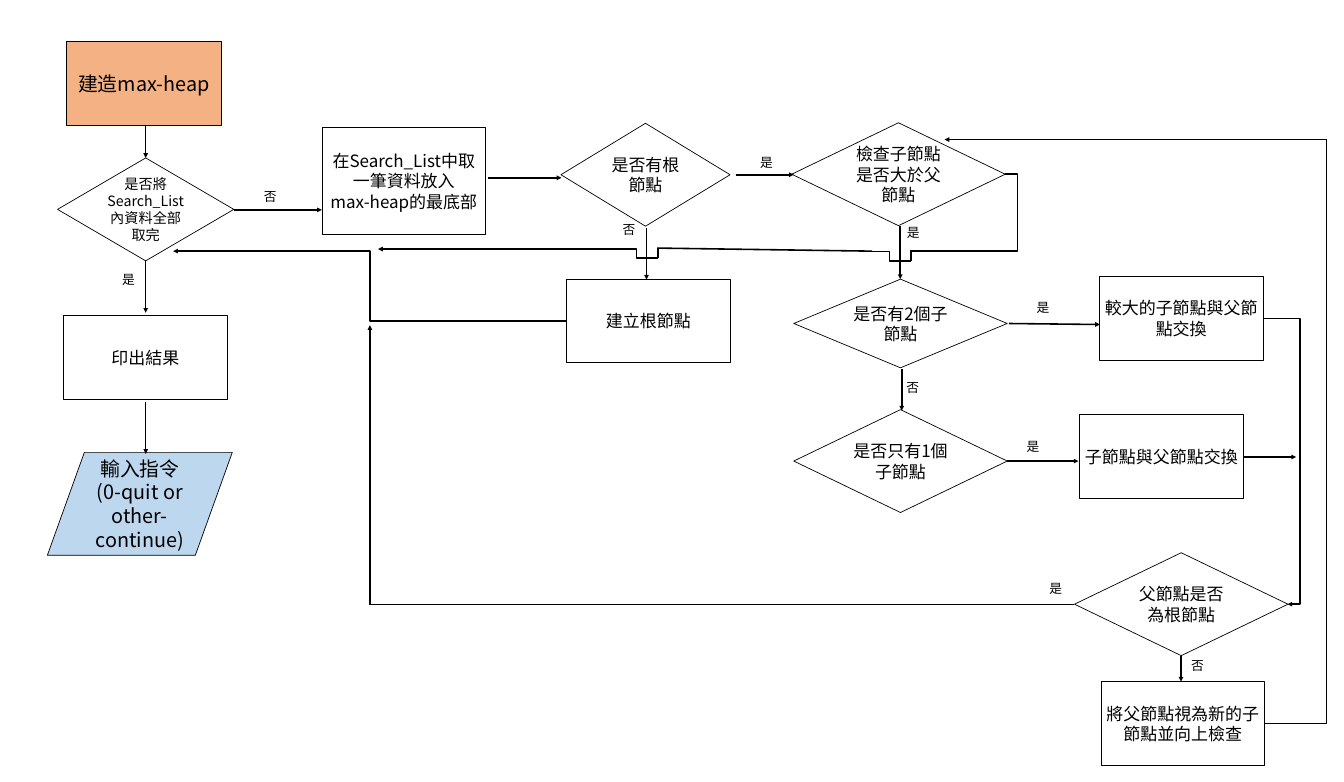
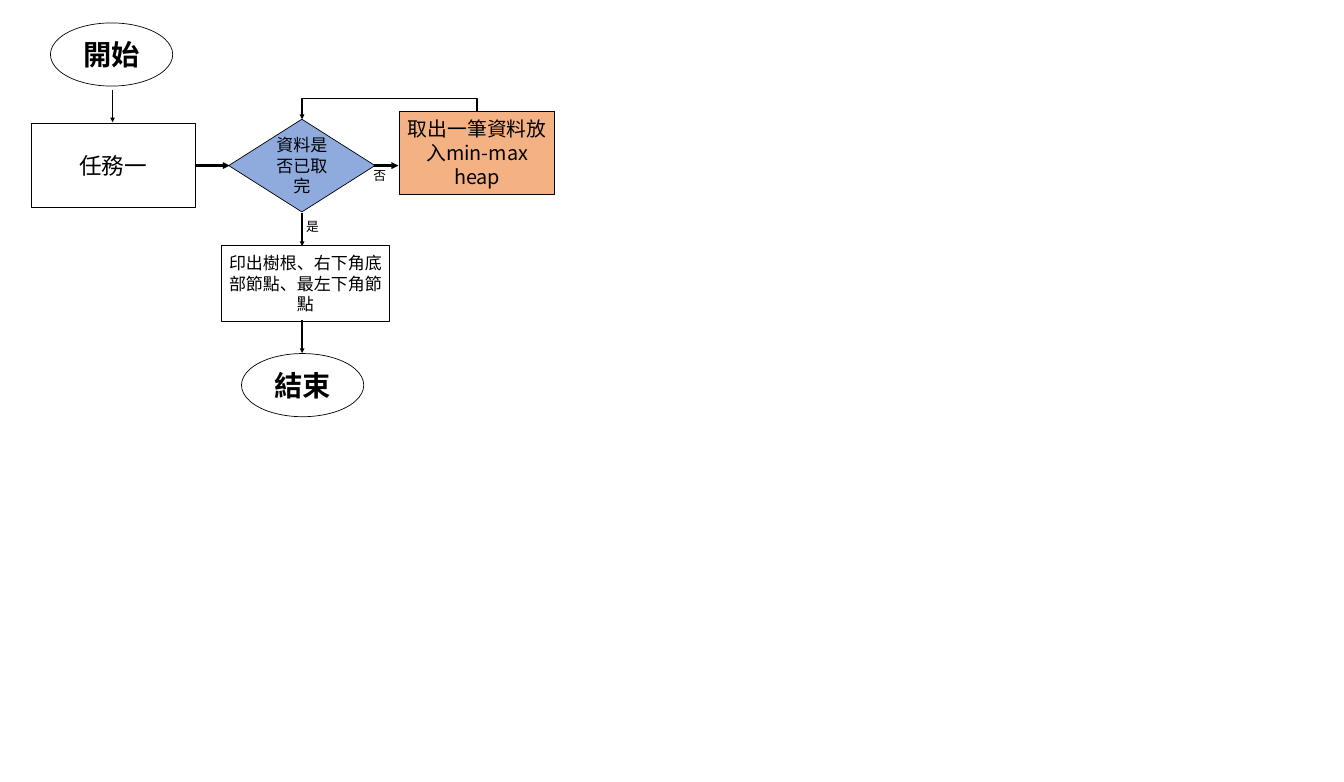
from lxml.etree import SubElement
from pptx import Presentation
from pptx.dml.color import RGBColor
from pptx.enum.shapes import MSO_CONNECTOR, MSO_SHAPE
from pptx.enum.text import MSO_ANCHOR, PP_ALIGN
from pptx.oxml.ns import qn
from pptx.util import Inches, Pt

BLACK = RGBColor(0x00, 0x00, 0x00)
WHITE = RGBColor(0xFF, 0xFF, 0xFF)
ORANGE = RGBColor(0xF4, 0xB1, 0x83)
PALE = RGBColor(0xBD, 0xD7, 0xEE)
BLUE = RGBColor(0x8F, 0xAA, 0xDC)
CJK = "Noto Sans CJK SC"
YES, NO = "是", "否"

RECT = MSO_SHAPE.RECTANGLE
TEST = MSO_SHAPE.FLOWCHART_DECISION
DATA = MSO_SHAPE.FLOWCHART_DATA
OVAL = MSO_SHAPE.OVAL
STEP = (3.21, 1.64)
TASK = (3.05, 1.64)
ASK = (4.19, 2.02)
END = (2.4, 1.24)
TAG = (1.12, 0.4)

BODY = {"name": CJK, "size": Pt(24)}
SMALL = {**BODY, "size": Pt(20)}
LARGE = {**BODY, "size": Pt(28)}
HUGE = {**BODY, "size": Pt(32)}
BOLD = {**BODY, "size": Pt(40), "bold": True}
MARK = {"name": "Calibri", "size": Pt(18)}


def write(frame, text, form, align):
    """Fill a text frame, one paragraph per line of text."""
    frame.word_wrap = True
    frame.text = text
    for para in frame.paragraphs:
        para.alignment = align
        for run in para.runs:
            for key, value in form.items():
                setattr(run.font, key, value)
            run.font.color.rgb = BLACK
            face = SubElement(run.font._element, qn("a:ea"))
            face.set("typeface", CJK)


def node(slide, kind, spot, size, text, form=BODY, fill=WHITE):
    """Add one outlined flowchart node with centred text."""
    shape = slide.shapes.add_shape(kind, *map(Inches, spot + size))
    shape.shadow.inherit = False
    shape.fill.solid()
    shape.fill.fore_color.rgb = fill
    shape.line.color.rgb = BLACK
    shape.line.width = Pt(1)
    shape.text_frame.vertical_anchor = MSO_ANCHOR.MIDDLE
    write(shape.text_frame, text, form, PP_ALIGN.CENTER)


def label(slide, spot, text):
    """Add the answer beside a branch."""
    box = slide.shapes.add_textbox(*map(Inches, spot + TAG))
    write(box.text_frame, text, MARK, PP_ALIGN.LEFT)


def link(slide, start, end, kind=MSO_CONNECTOR.STRAIGHT, arrow=True, width=2.25):
    """Add a black connector, with an arrowhead if wanted."""
    line = slide.shapes.add_connector(kind, *map(Inches, start + end))
    line.line.color.rgb = BLACK
    line.line.width = Pt(width)
    if arrow:
        SubElement(line.line._get_or_add_ln(), qn("a:tailEnd")).set("type", "triangle")
    SubElement(line._element.spPr, qn("a:effectLst"))
    return line


def bend(slide, start, end, turn, upright=False, arrow=True):
    """Add an elbow whose middle leg lies at x = turn, or y = turn if upright."""
    axis = 1 if upright else 0
    ratio = (turn - start[axis]) / (end[axis] - start[axis])
    if upright:
        mid = [(a + b) / 2 for a, b in zip(start, end)]
        start, end = [(mid[0] - y + mid[1], mid[1] + x - mid[0])
                      for x, y in (start, end)]
    line = link(slide, start, end, MSO_CONNECTOR.ELBOW, arrow)
    props = line._element.spPr
    if upright:
        props.find(qn("a:xfrm")).set("rot", str(270 * 60000))
    geom = props.find(qn("a:prstGeom"))
    guides = geom.find(qn("a:avLst"))
    if guides is None:
        guides = SubElement(geom, qn("a:avLst"))
    guide = SubElement(guides, qn("a:gd"))
    guide.set("name", "adj1")
    guide.set("fmla", f"val {round(ratio * 100000)}")


def hop(slide, x, y):
    """Add the step with which a return line passes a crossing arrow."""
    link(slide, (x, y - 0.21), (x, y), arrow=False)
    bend(slide, (x, y), (x - 0.84, y - 0.18), x - 0.42, arrow=False)


def build_heap(slide):
    """Draw the flow that builds the max-heap."""
    for item in (
        (RECT, (1.3, 0.82), TASK, "建造max-heap", LARGE, ORANGE),
        (TEST, (1.13, 3.1), (3.46, 2.02), "是否將Search_List內資料全部取完", SMALL),
        (RECT, (1.25, 6.2), STEP, "印出結果"),
        (DATA, (0.93, 8.88), (3.63, 2.02), "輸入指令(0-quit or other-continue)", LARGE, PALE),
        (RECT, (6.32, 2.49), (3.21, 2.12), "在Search_List中取一筆資料放入\nmax-heap的最底部"),
        (TEST, (11.01, 2.42), (3.32, 2.02), "是否有根節點"),
        (RECT, (11.12, 5.48), STEP, "建立根節點"),
        (TEST, (15.54, 2.41), ASK, "檢查子節點是否大於父節點"),
        (TEST, (15.58, 5.48), (4.19, 1.74), "是否有2個子節點"),
        (TEST, (15.58, 8.04), ASK, "是否只有1個子節點"),
        (RECT, (21.58, 5.43), STEP, "較大的子節點與父節點交換"),
        (RECT, (21.19, 8.14), STEP, "子節點與父節點交換"),
        (TEST, (21.09, 10.85), ASK, "父節點是否為根節點"),
        (RECT, (21.61, 13.38), STEP, "將父節點視為新的子節點並向上檢查"),
    ):
        node(slide, *item)
    for start, end in (
        ((2.86, 2.46), (2.86, 3.1)),
        ((2.86, 5.12), (2.86, 6.14)),
        ((2.86, 7.89), (2.86, 8.91)),
        ((4.59, 4.12), (6.32, 4.12)),
        ((9.58, 3.49), (11.02, 3.49)),
        ((12.69, 4.48), (12.69, 5.49)),
        ((14.44, 3.43), (15.58, 3.43)),
        ((17.67, 4.43), (17.67, 5.48)),
        ((17.7, 7.25), (17.7, 8.06)),
        ((19.8, 6.35), (21.59, 6.37)),
        ((19.77, 9.05), (21.17, 9.05)),
        ((24.4, 8.97), (25.44, 8.97)),
        ((23.18, 12.87), (23.18, 13.38)),
        ((12.07, 4.89), (7.42, 4.89)),
        ((7.26, 11.88), (7.26, 6.38)),
        ((26.04, 2.74), (18.54, 2.74)),
    ):
        link(slide, start, end)
    link(slide, (12.9, 4.87), (17.12, 4.93), arrow=False)
    link(slide, (21.09, 11.87), (7.26, 11.87), arrow=False)
    hop(slide, 12.91, 5.07)
    hop(slide, 17.88, 5.12)
    bend(slide, (11.12, 6.3), (3.4, 4.93), 7.26)
    bend(slide, (19.72, 3.42), (17.88, 4.93), 19.97, arrow=False)
    bend(slide, (24.79, 6.25), (25.27, 11.86), 25.52)
    bend(slide, (24.83, 14.2), (26.04, 2.74), 26.04, arrow=False)
    for spot, text in (
        ((2.3, 5.28), YES), ((5.08, 3.65), NO), ((12.12, 4.31), NO),
        ((14.82, 2.99), YES), ((17.7, 4.36), YES), ((17.69, 7.4), NO),
        ((20.25, 5.83), YES), ((20.05, 8.56), YES), ((20.5, 11.36), YES),
        ((23.28, 12.87), NO),
    ):
        label(slide, spot, text)


def task_flow(slide):
    """Draw the flow from start to end of the second task."""
    for item in (
        (OVAL, (0.99, 0.45), END, "開始", BOLD),
        (RECT, (0.62, 2.43), STEP, "任務一", HUGE),
        (TEST, (4.49, 2.34), (2.87, 1.82), "資料是否已取完", BODY, BLUE),
        (RECT, (7.84, 2.18), TASK, "取出一筆資料放入min-max heap", LARGE, ORANGE),
        (RECT, (4.34, 4.82), (3.31, 1.48), "印出樹根、右下角底部節點、最左下角節點"),
        (OVAL, (4.74, 6.94), END, "結束", BOLD),
    ):
        node(slide, *item)
    for start, end in (
        ((2.21, 1.76), (2.21, 2.4)),
        ((5.93, 4.18), (5.93, 4.83)),
        ((5.93, 6.29), (5.93, 6.93)),
    ):
        link(slide, start, end)
    for left, right in ((3.84, 4.51), (7.35, 7.82)):
        link(slide, (left, 3.25), (right, 3.25), width=3.25)
    bend(slide, (9.36, 2.18), (5.93, 2.34), 1.93, upright=True)
    label(slide, (5.91, 4.24), YES)
    label(slide, (7.23, 3.25), NO)


def main():
    """Build both flowchart slides and save them."""
    deck = Presentation()
    deck.slide_width, deck.slide_height = Inches(26.38), Inches(15.35)
    for draw in (build_heap, task_flow):
        draw(deck.slides.add_slide(deck.slide_layouts[6]))
    deck.save("out.pptx")


main()
